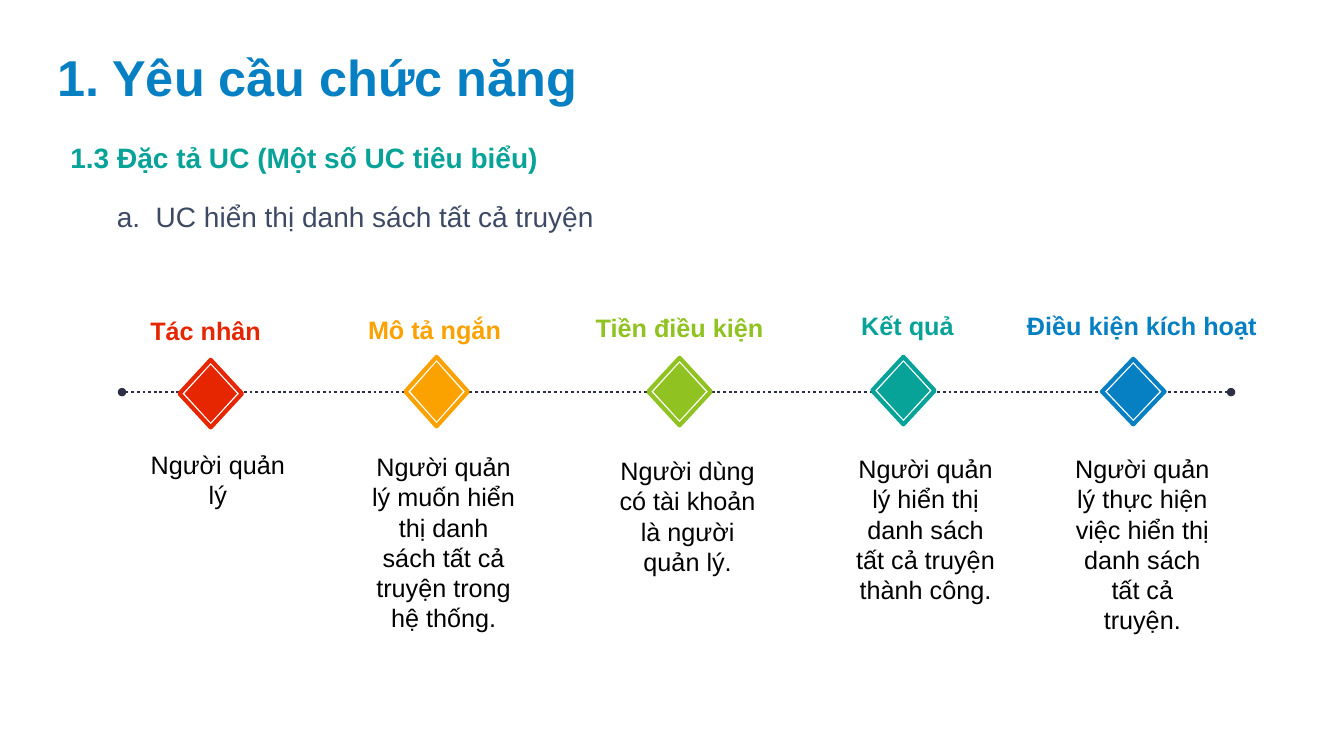
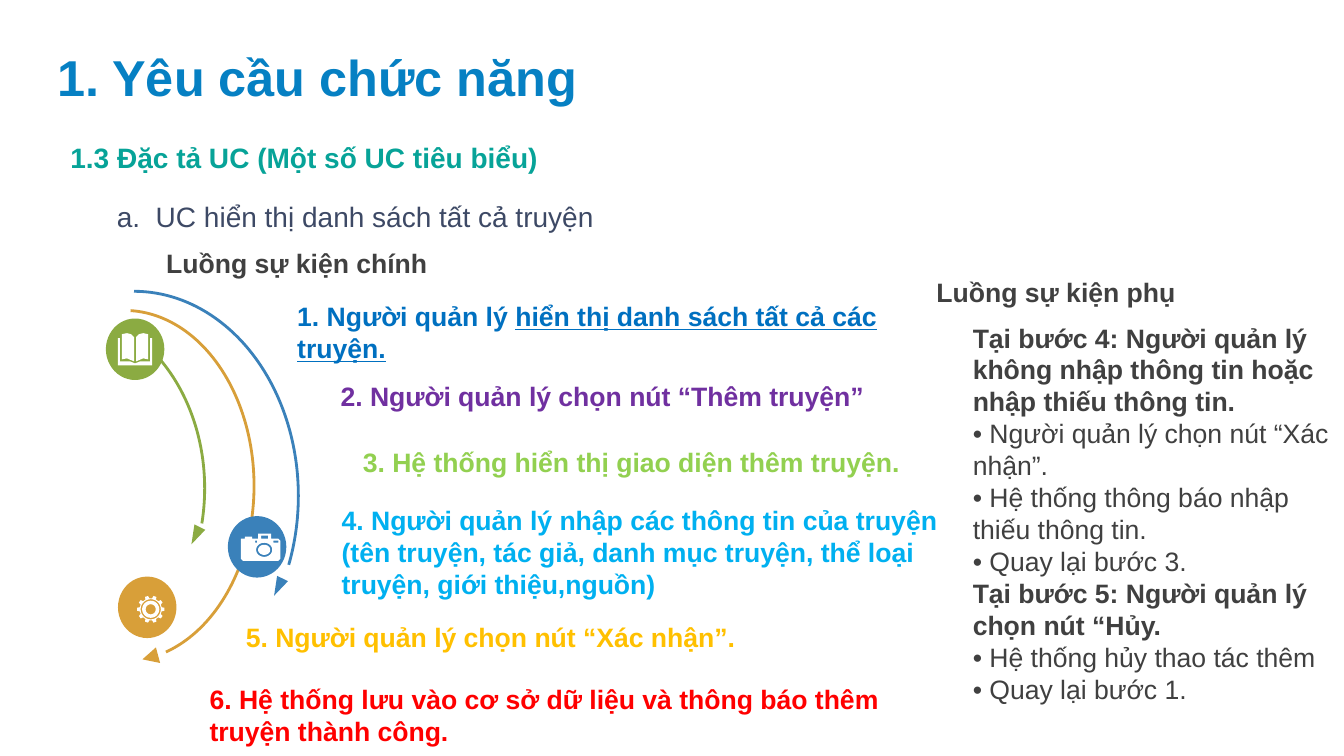
from math import cos, pi, sin

from lxml import etree
from pptx import Presentation
from pptx import util as u
from pptx.dml.color import RGBColor
from pptx.enum import dml, shapes, text
from pptx.oxml.ns import qn

IN = u.Inches
SHAPE = shapes.MSO_SHAPE
MID = text.MSO_ANCHOR.MIDDLE
CENTER = text.PP_ALIGN.CENTER
FONT = "Arial"

# Colours
BLUE = RGBColor(0x06, 0x80, 0xC3)
TEAL = RGBColor(0x07, 0xA3, 0x98)
SLATE = RGBColor(0x3D, 0x49, 0x65)
NAVY = RGBColor(0x2C, 0x2F, 0x45)
RED = RGBColor(0xE6, 0x26, 0x01)
ORANGE = RGBColor(0xFB, 0xA2, 0x00)
GREEN = RGBColor(0x90, 0xC2, 0x21)
BLACK = RGBColor(0, 0, 0)
WHITE = RGBColor(0xFF, 0xFF, 0xFF)
GRAY = RGBColor(0x40, 0x40, 0x40)
GOLD = RGBColor(0xD8, 0x9F, 0x39)
STEEL = RGBColor(0x3A, 0x81, 0xBA)
OLIVE = RGBColor(0x8B, 0xAB, 0x42)
COBALT = RGBColor(0x00, 0x70, 0xC0)
PURPLE = RGBColor(0x70, 0x30, 0xA0)
LIME = RGBColor(0x92, 0xD0, 0x50)
SKY = RGBColor(0x00, 0xB0, 0xF0)
AMBER = RGBColor(0xFF, 0xC0, 0x00)
SCARLET = RGBColor(0xFF, 0, 0)

# Timeline: name, colour, label box, diamond box, body left and top, body
STAGES = [
    ("Tác nhân", RED, (1.1, 3.08, 1.88, 0.4), (1.78, 3.57, 0.62, 0.67),
     (1.34, 4.41), "Người quản lý"),
    ("Mô tả ngắn", ORANGE, (3.53, 3.07, 1.56, 0.4), (4.02, 3.54, 0.62, 0.69),
     (3.58, 4.43), "Người quản lý muốn hiển thị danh sách tất cả truyện trong hệ thống."),
    ("Tiền điều kiện", GREEN, (5.77, 3.05, 1.94, 0.4), (6.43, 3.55, 0.62, 0.67),
     (6, 4.47), "Người dùng có tài khoản là người quản lý."),
    ("Kết quả", TEAL, (8.34, 3.03, 1.32, 0.4), (8.65, 3.54, 0.62, 0.67),
     (8.36, 4.45), "Người quản lý hiển thị danh sách tất cả truyện thành công."),
    ("Điều kiện kích hoạt", BLUE, (10.03, 3.03, 2.59, 0.4), (10.93, 3.56, 0.62, 0.65),
     (10.51, 4.45), "Người quản lý thực hiện việc hiển thị danh sách tất cả truyện."),
]

# Main flow: box, colour, text, underlined end
STEPS = [
    ((2.85, 2.93, 6.27, 0.74), COBALT, "1. Người quản lý ",
     "hiển thị danh sách tất cả các truyện."),
    ((3.28, 3.72, 5.43, 0.42), PURPLE, "2. Người quản lý chọn nút “Thêm truyện”", ""),
    ((3.5, 4.37, 5.69, 0.42), LIME, "3. Hệ thống hiển thị giao diện thêm truyện.", ""),
    ((3.29, 4.95, 6.27, 1.06), SKY,
     "4. Người quản lý nhập các thông tin của truyện (tên truyện, tác giả, "
     "danh mục truyện, thể loại truyện, giới thiệu,nguồn)", ""),
    ((2.34, 6.11, 7.26, 0.42), AMBER, "5. Người quản lý chọn nút “Xác nhận”.", ""),
    ((1.98, 6.73, 7.22, 0.74), SCARLET,
     "6. Hệ thống lưu vào cơ sở dữ liệu và thông báo thêm truyện thành công.", ""),
]

# Side flow: text, bold
NOTES = [
    ("Tại bước 4: Người quản lý không nhập thông tin hoặc nhập thiếu thông tin.", True),
    ("• Người quản lý chọn nút “Xác nhận”.", False),
    ("• Hệ thống thông báo nhập thiếu thông tin.", False),
    ("• Quay lại bước 3.", False),
    ("Tại bước 5: Người quản lý chọn nút “Hủy.", True),
    ("• Hệ thống hủy thao tác thêm", False),
    ("• Quay lại bước 1.", False),
]

# Swooshes: colour, ellipse box, start and end angle, tip box, tip turn
ARCS = [
    (GOLD, (-0.05, 3.08, 2.57, 3.48), 272, 76, (1.41, 6.44, 0.16, 0.16), 255),
    (STEEL, (-0.3, 2.89, 3.26, 4.06), 270, 24, (2.7, 5.73, 0.12, 0.19), 206.2),
    (OLIVE, (-0.82, 3.08, 2.85, 3.53), 304, 14, (1.88, 5.22, 0.12, 0.19), 206.2),
]


def place(box):
    return [IN(v) for v in box]


def style(para, size, color, bold=False, align=None):
    font = para.font
    font.name, font.size, font.bold = FONT, u.Pt(size), bold
    font.color.rgb = color
    para.alignment = align


def write(slide, box, words, size, color, bold=False, align=None, anchor=None):
    frame = slide.shapes.add_textbox(*place(box)).text_frame
    frame.word_wrap = True
    frame.vertical_anchor = anchor
    para = frame.paragraphs[0]
    para.add_run().text = words
    style(para, size, color, bold, align)
    return frame


def paint(shape, fill, line=None, width=3):
    shape.shadow.inherit = False
    shape.fill.solid()
    shape.fill.fore_color.rgb = fill
    if line is None:
        shape.line.fill.background()
    else:
        shape.line.color.rgb = line
        shape.line.width = u.Pt(width)


def draw(slide, kind, box, fill, line=None):
    shape = slide.shapes.add_shape(kind, *place(box))
    paint(shape, fill, line)
    return shape


def header(slide):
    write(slide, (0.47, 0.41, 10.11, 0.71), "1. Yêu cầu chức năng", 36, BLUE, True)
    write(slide, (0.6, 1.38, 8.1, 0.36), "1.3 Đặc tả UC (Một số UC tiêu biểu)",
          20, TEAL, True, anchor=MID)
    frame = write(slide, (1.06, 1.88, 5.18, 0.65),
                  "a.  UC hiển thị danh sách tất cả truyện", 20, SLATE)
    frame.margin_top = IN(0.1)


# Timeline slide
def axis(slide, left, right, y):
    line = slide.shapes.add_connector(
        shapes.MSO_CONNECTOR.STRAIGHT, *place((left, y, right, y)))
    line.line.color.rgb = NAVY
    line.line.width = u.Pt(2)
    line.line.dash_style = dml.MSO_LINE.ROUND_DOT
    ends = line.line._get_or_add_ln()
    for tag in ("a:headEnd", "a:tailEnd"):
        etree.SubElement(ends, qn(tag), type="oval")
    etree.SubElement(line._element.spPr, qn("a:effectLst"))


def diamond(slide, box, color):
    x, y, w, h = box
    gap = 0.05
    draw(slide, SHAPE.DIAMOND, box, WHITE, color)
    draw(slide, SHAPE.DIAMOND, (x + gap, y + gap, w - 2 * gap, h - 2 * gap), color)


def timeline(slide):
    header(slide)
    axis(slide, 1.21, 12.21, 3.89)
    for name, color, label, mark, spot, body in STAGES:
        diamond(slide, mark, color)
        write(slide, label, name, 18, color, True, CENTER, MID)
        write(slide, (*spot, 1.64, 1.28), body, 18, BLACK, align=CENTER)


# Icons: outlines around the centre of a disc
def ring(cx, cy, rx, ry, count=32):
    turns = [2 * pi * i / count for i in range(count)]
    return [(cx + rx * cos(t), cy + ry * sin(t)) for t in turns]


def rect(x, y, w, h):
    return [(x, y), (x + w, y), (x + w, y + h), (x, y + h)]


def gear():
    cx, cy, teeth = 0.035, 0.02, 10
    rim = []
    for i in range(teeth):
        for turn, r in ((-0.3, 0.11), (-0.18, 0.135), (0.18, 0.135), (0.3, 0.11)):
            t = 2 * pi * (i + turn) / teeth
            rim.append((cx + r * cos(t), cy + r * sin(t)))
    return [rim] + [ring(cx, cy, r, r) for r in (0.1, 0.085, 0.05)]


def book():
    page = [(0.01, 0.12), (0.01, -0.12), (0.04, -0.15), (0.08, -0.16),
            (0.13, -0.15), (0.13, 0.1), (0.08, 0.09)]
    cover = [(0, 0.14), (0.05, 0.12), (0.15, 0.12), (0.15, -0.11),
             (0.17, -0.11), (0.17, 0.16), (0, 0.16)]
    return [[(side * x, y) for x, y in half]
            for half in (page, cover) for side in (-1, 1)]


def camera():
    body = [(-0.16, -0.08), (-0.12, -0.08), (-0.12, -0.1), (-0.05, -0.1),
            (-0.05, -0.08), (0.01, -0.08), (0.01, -0.13), (0.14, -0.13),
            (0.14, -0.08), (0.21, -0.08), (0.23, -0.06), (0.23, 0.12),
            (0.21, 0.14), (-0.14, 0.14), (-0.16, 0.12)]
    return [body, rect(0.04, -0.11, 0.07, 0.03), rect(0.16, -0.06, 0.05, 0.02),
            rect(-0.02, -0.06, 0.02, 0.02),
            ring(0.07, 0.03, 0.08, 0.07), ring(0.07, 0.03, 0.06, 0.05)]


def badge(slide, left, top, color, icon):
    w, h = 0.58, 0.61
    draw(slide, SHAPE.OVAL, (left, top, w, h), color)
    pen = None
    for outline in icon():
        pts = [(IN(left + w / 2 + x), IN(top + h / 2 + y)) for x, y in outline]
        if pen is None:
            pen = slide.shapes.build_freeform(*pts[0], scale=1.0)
        else:
            pen.move_to(*pts[0])
        pen.add_line_segments(pts[1:], close=True)
    paint(pen.convert_to_shape(), WHITE)


# Event flow slide
def swoosh(slide, color, box, start, end, tip, turn):
    arc = draw(slide, SHAPE.ARC, box, color, color)
    arc.fill.background()
    arc.line.width = u.Pt(2)
    for i, angle in enumerate((start, end)):
        arc.adjustments[i] = angle * 0.6  # 60000 units a degree, over 100000
    draw(slide, SHAPE.ISOSCELES_TRIANGLE, tip, color).rotation = turn


def notes(slide, box):
    frame = write(slide, box, NOTES[0][0], 19, GRAY, NOTES[0][1])
    for words, bold in NOTES[1:]:
        para = frame.add_paragraph()
        para.add_run().text = words
        style(para, 19, GRAY, bold)


def flow(slide):
    header(slide)
    badge(slide, 1.17, 5.72, GOLD, gear)
    for arc in ARCS:
        swoosh(slide, *arc)
    badge(slide, 1.05, 3.16, OLIVE, book)
    badge(slide, 2.26, 5.12, STEEL, camera)
    write(slide, (1.55, 2.4, 3.07, 0.42), "Luồng sự kiện chính", 19, GRAY, True)
    for box, color, words, marked in STEPS:
        para = write(slide, box, words, 19, color, True).paragraphs[0]
        if marked:
            run = para.add_run()
            run.text = marked
            run.font.underline = True
    write(slide, (9.19, 2.69, 3.07, 0.42), "Luồng sự kiện phụ", 19, GRAY, True)
    notes(slide, (9.55, 3.14, 3.73, 4.58))


def main():
    deck = Presentation()
    deck.slide_width, deck.slide_height = IN(13.33), IN(7.5)
    for build in (timeline, flow):
        build(deck.slides.add_slide(deck.slide_layouts[6]))
    deck.save("out.pptx")


if __name__ == "__main__":
    main()
